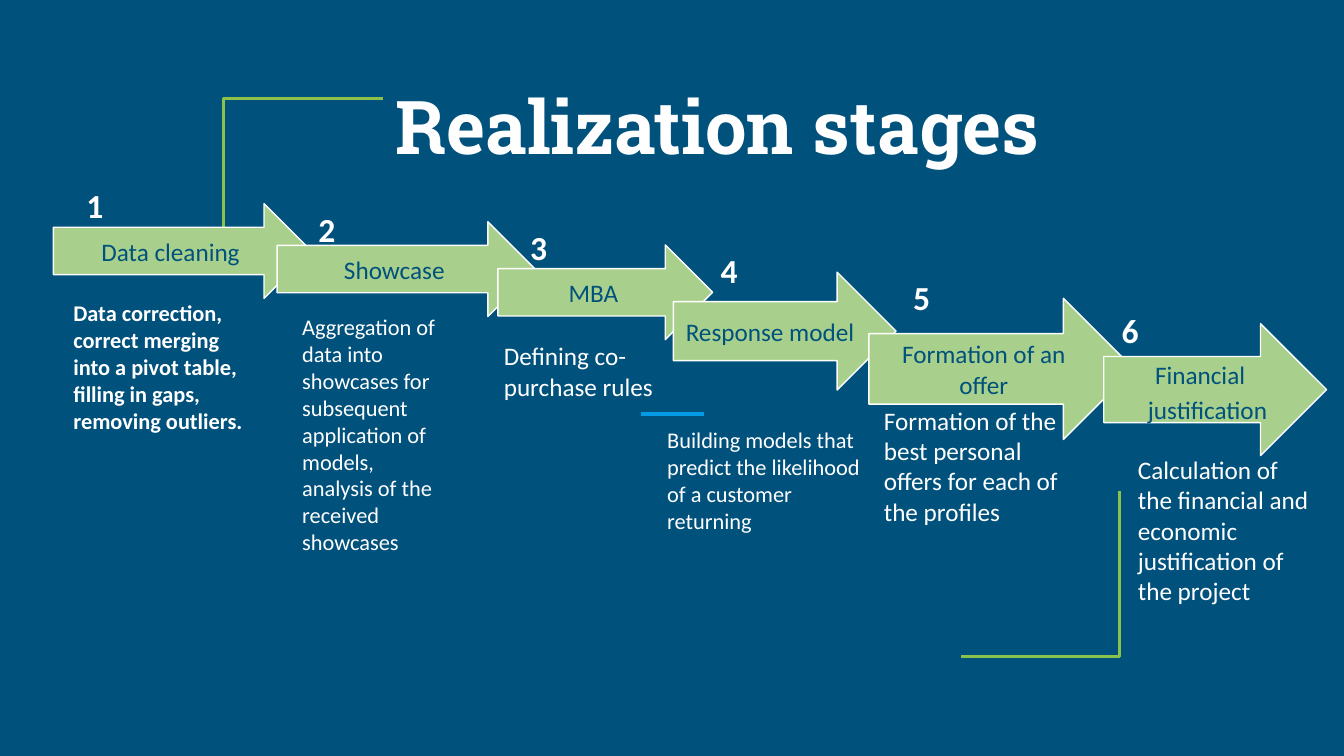
import pptx
import pptx.dml.color
import pptx.enum.shapes
import pptx.enum.text
import pptx.oxml.ns
import pptx.util
from lxml import etree

COLUMNS, ROWS = 133.33, 75
UNIT = pptx.util.Inches(0.1)
NAVY, WHITE, LEAF, LIME, SKY = "00517C", "FFFFFF", "A8D08C", "8BC34A", "039BE5"

STAGES = [
    ("Data cleaning", (5.3, 20.2, 25.6, 9.4), (7.6, 17.9),
     "Data correction, correct merging into a pivot table, filling in gaps, removing outliers.",
     (6.3, 29.2, 19, 14.5), 16, True),
    ("Showcase", (27.5, 22, 25.6, 9.4), (30.6, 20.2),
     "Aggregation of data into showcases for subsequent application of models, "
     "analysis of the received showcases",
     (29, 30.6, 16.3, 25.2), 16, False),
    ("MBA", (49.4, 24.3, 21.3, 9.4), (51.6, 22),
     "Defining co-purchase rules",
     (49, 33.3, 17.3, 10.1), 18, False),
    ("Response model", (66.8, 27, 22.1, 11.7), (70.5, 24.3),
     "Building models that predict the likelihood of a customer returning",
     (65.2, 41.8, 22.1, 11.8), 16, False),
    ("Formation of an offer", (86.2, 29.6, 26.3, 14), (89.6, 27),
     "Formation of the best personal offers for each of the profiles",
     (86.7, 39.7, 20.4, 13.1), 18, False),
    ("Financial\njustification", (109.5, 32.1, 22.1, 13.1), (110.3, 30.3),
     "Calculation of the financial and economic justification of the project",
     (111.9, 44.6, 19, 16.2), 18, False),
]


def grid(*cells):
    return [int(cell * UNIT) for cell in cells]


def color(hex_code):
    return pptx.dml.color.RGBColor.from_string(hex_code)


def style_text(frame, size, hex_code, font="Calibri", bold=False, align=None):
    frame.word_wrap = True
    for paragraph in frame.paragraphs:
        paragraph.alignment = align
        for run in paragraph.runs:
            run.font.size = pptx.util.Pt(size)
            run.font.name = font
            run.font.bold = bold
            run.font.color.rgb = color(hex_code)


def style_line(line, hex_code, width):
    line.color.rgb = color(hex_code)
    line.width = pptx.util.Pt(width)


def add_text(slide, words, area, size, bold=False):
    frame = slide.shapes.add_textbox(*grid(*area)).text_frame
    frame.text = words
    style_text(frame, size, WHITE, bold=bold)
    frame.auto_size = pptx.enum.text.MSO_AUTO_SIZE.SHAPE_TO_FIT_TEXT


def add_title(slide, words, area):
    frame = slide.shapes.add_textbox(*grid(*area)).text_frame
    frame.text = words
    frame.vertical_anchor = pptx.enum.text.MSO_ANCHOR.BOTTOM
    style_text(frame, 53, WHITE, "Roboto Slab", True, pptx.enum.text.PP_ALIGN.CENTER)
    frame.paragraphs[0].line_spacing = 0.9


def add_bracket(slide, start, corner, end):
    builder = slide.shapes.build_freeform(*grid(*start))
    builder.add_line_segments([grid(*corner), grid(*end)], close=False)
    bracket = builder.convert_to_shape()
    bracket.shadow.inherit = False
    bracket.fill.background()
    style_line(bracket.line, LIME, 2.25)


def add_dash(slide, start, end):
    dash = slide.shapes.add_connector(
        pptx.enum.shapes.MSO_CONNECTOR.STRAIGHT, *grid(*start, *end))
    style_line(dash.line, SKY, 3)
    etree.SubElement(dash._element.spPr, pptx.oxml.ns.qn("a:effectLst"))


def add_arrow(slide, label, area):
    arrow = slide.shapes.add_shape(
        pptx.enum.shapes.MSO_SHAPE.RIGHT_ARROW, *grid(*area))
    arrow.shadow.inherit = False
    arrow.fill.solid()
    arrow.fill.fore_color.rgb = color(LEAF)
    style_line(arrow.line, WHITE, 1)
    frame = arrow.text_frame
    frame.text = label
    frame.vertical_anchor = pptx.enum.text.MSO_ANCHOR.MIDDLE
    style_text(frame, 18, NAVY, align=pptx.enum.text.PP_ALIGN.CENTER)
    return frame


def indent_lines(frame, indents):
    for paragraph, indent in zip(frame.paragraphs, indents):
        paragraph.alignment = pptx.enum.text.PP_ALIGN.LEFT
        paragraph.line_spacing = 1.15
        paragraph._p.get_or_add_pPr().set("marL", str(grid(indent)[0]))


def main():
    deck = pptx.Presentation()
    deck.slide_width, deck.slide_height = grid(COLUMNS, ROWS)
    slide = deck.slides.add_slide(deck.slide_layouts[6])
    slide.background.fill.solid()
    slide.background.fill.fore_color.rgb = color(NAVY)

    add_bracket(slide, (22.2, 26.2), (22.2, 9.8), (38, 9.8))
    add_bracket(slide, (111.1, 48.7), (111.1, 65.1), (95.3, 65.1))
    add_dash(slide, (63.6, 41.1), (69.8, 41.1))
    add_title(slide, "Realization stages", (19.4, 3.4, 103.6, 14))

    for number, stage in enumerate(STAGES, 1):
        label, arrow_area, number_corner, details, details_area, size, bold = stage
        label_frame = add_arrow(slide, label, arrow_area)
        add_text(slide, str(number), (*number_corner, 3.3, 5), 24, True)
        add_text(slide, details, details_area, size, bold)
    indent_lines(label_frame, (4.1, 3.4))

    deck.save("out.pptx")


if __name__ == "__main__":
    main()
